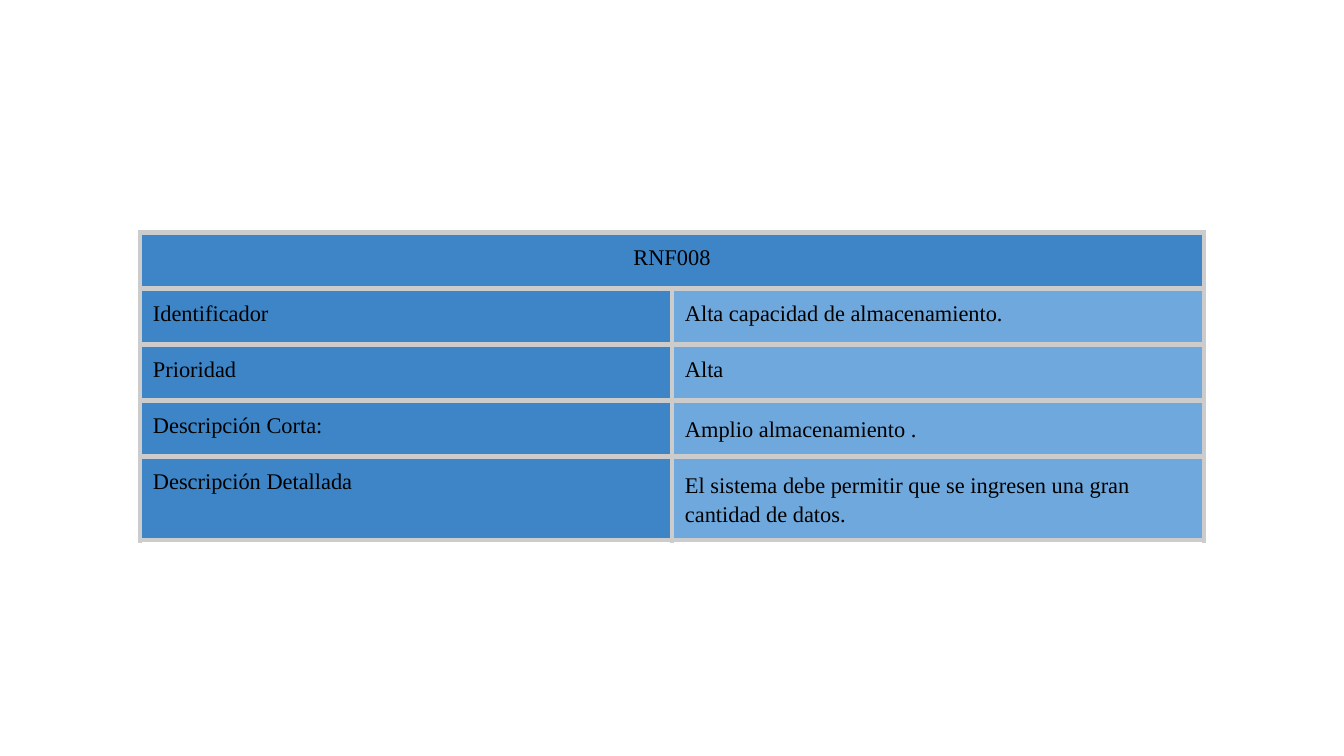
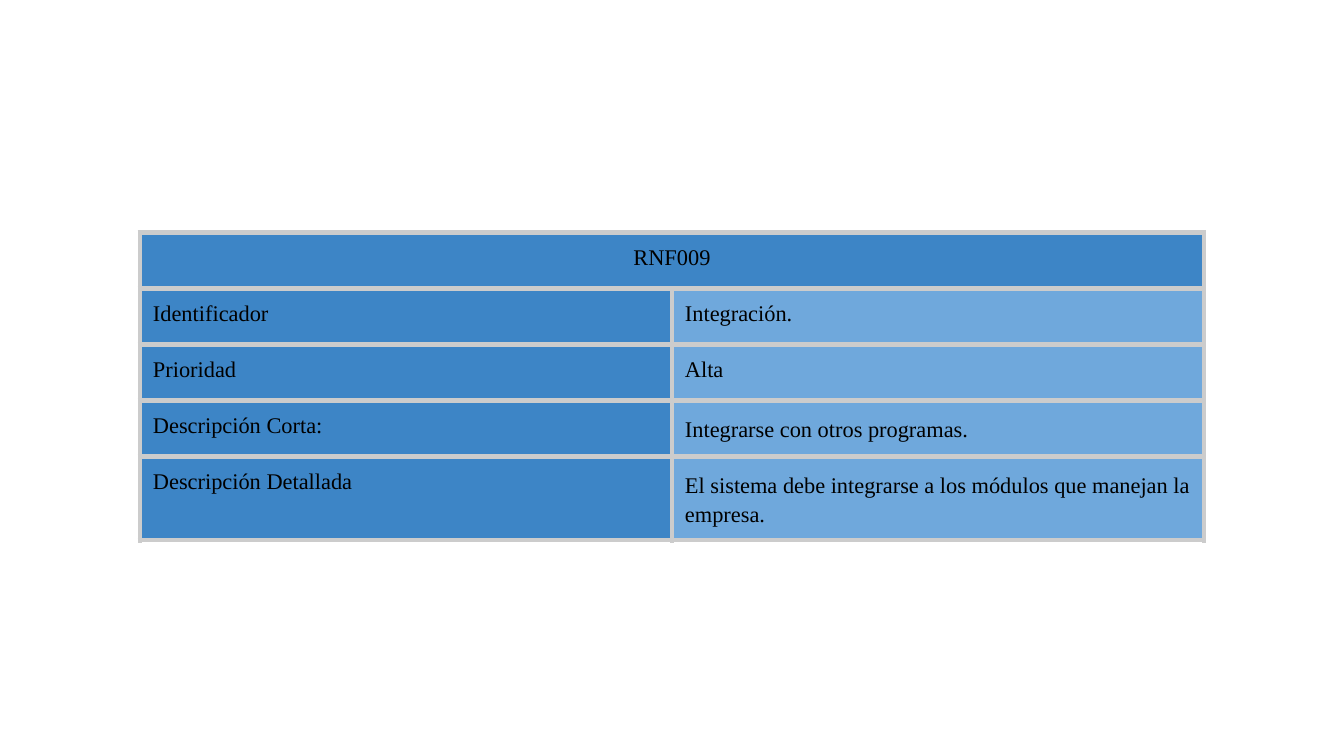
from dataclasses import dataclass

from lxml import etree
from pptx import Presentation
from pptx.dml.color import RGBColor
from pptx.enum.text import PP_ALIGN
from pptx.oxml.ns import qn
from pptx.slide import Slide
from pptx.table import _Cell
from pptx.util import Emu, Pt

LEFT, CENTER = PP_ALIGN.LEFT, PP_ALIGN.CENTER

# Shared look
FONT, SIZE = "Times New Roman", 12
INK, DARK, LIGHT, EDGE = "000000", "3D85C6", "6FA8DC", "CCCCCC"
EDGE_PT = 3
LABELS = ("Identificador", "Prioridad", "Descripción Corta:",
          "Descripción Detallada")

# Layout in pixels
WIDTH, HEIGHT = 1344, 756
X, Y = 140, 233
COL, ROW, PAD = 532, 56, 13
SCALE = 914400 / 134.4


@dataclass
class Need:
    code: str
    name: str
    rank: str
    brief: str
    detail: str


NEEDS = (
    Need("RNF008", "Alta capacidad de almacenamiento.", "Alta",
         "Amplio almacenamiento .",
         "El sistema debe permitir que se ingresen una gran cantidad de datos."),
    Need("RNF009", "Integración.", "Alta",
         "Integrarse con otros programas.",
         "El sistema debe integrarse a los módulos que manejan la empresa."),
)


def px(count: int) -> Emu:
    return Emu(round(count * SCALE))


def color(code: str) -> RGBColor:
    return RGBColor.from_string(code)


def write(cell: _Cell, text: str, *, align=LEFT, space: float = 1.0) -> None:
    para = cell.text_frame.paragraphs[0]
    para.alignment = align
    para.line_spacing = space
    run = para.add_run()
    run.text = text
    run.font.name = FONT
    run.font.size = Pt(SIZE)
    run.font.color.rgb = color(INK)


def style(cell: _Cell, fill: str) -> None:
    cell.fill.solid()
    cell.fill.fore_color.rgb = color(fill)
    cell.margin_left = cell.margin_right = px(PAD)
    cell.margin_top = cell.margin_bottom = px(PAD)
    # Borders come before the fill in the cell properties
    props = cell._tc.get_or_add_tcPr()
    for spot, side in enumerate(("lnL", "lnR", "lnT", "lnB")):
        line = etree.Element(qn(f"a:{side}"), w=str(Pt(EDGE_PT)))
        solid = etree.SubElement(line, qn("a:solidFill"))
        etree.SubElement(solid, qn("a:srgbClr"), val=EDGE)
        props.insert(spot, line)


def draw(slide: Slide, need: Need) -> None:
    count = len(LABELS) + 1
    frame = slide.shapes.add_table(count, 2, px(X), px(Y),
                                   px(2 * COL), px(count * ROW))
    table = frame.table
    for col in table.columns:
        col.width = px(COL)
    for row in table.rows:
        row.height = px(ROW)

    # Header across both columns
    head = table.cell(0, 0)
    head.merge(table.cell(0, 1))
    for col in range(2):
        style(table.cell(0, col), DARK)
    write(head, need.code, align=CENTER)

    # Label and value rows; descriptions have looser lines
    values = ((need.name, 1.0), (need.rank, 1.0),
              (need.brief, 1.15), (need.detail, 1.15))
    for row, (label, (value, space)) in enumerate(zip(LABELS, values), 1):
        left, right = table.cell(row, 0), table.cell(row, 1)
        style(left, DARK)
        write(left, label)
        style(right, LIGHT)
        write(right, value, space=space)


deck = Presentation()
deck.slide_width, deck.slide_height = px(WIDTH), px(HEIGHT)
blank = deck.slide_layouts[6]
for need in NEEDS:
    draw(deck.slides.add_slide(blank), need)
deck.save("out.pptx")
